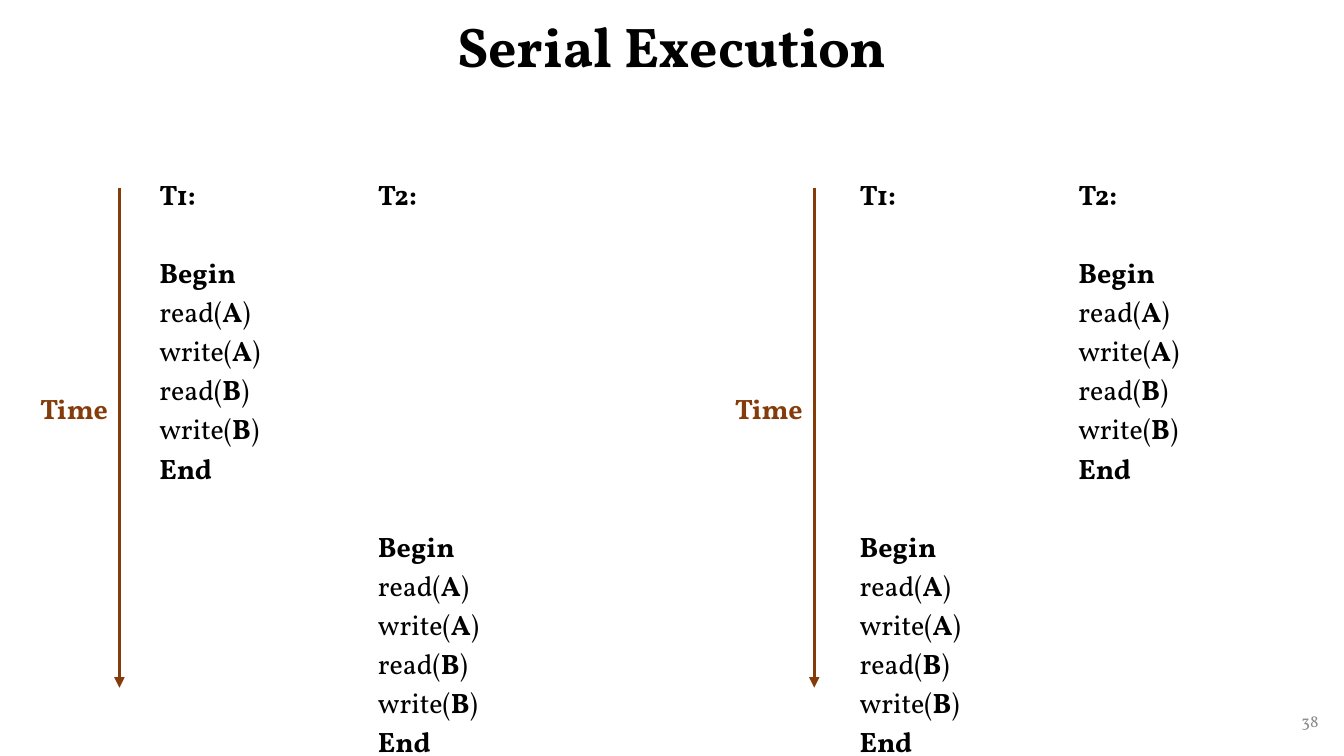
from collections import namedtuple
from dataclasses import dataclass

from lxml import etree
from pptx import Presentation, util as u
from pptx.dml.color import RGBColor
from pptx.enum import shapes, text
from pptx.oxml.ns import qn

Box = namedtuple("Box", "left top width height")


@dataclass(frozen=True)
class Theme:
    font: str = "Vollkorn"
    ink: str = "000000"
    time: str = "843C0B"
    muted: str = "8C8C8C"
    title_size: int = 40
    body_size: int = 20
    number_size: int = 12
    axis_width: float = 2.5
    line_pitch: float = 27.95
    plain_table: str = "{2D5ABB26-0587-4C30-8999-92F81FD0307C}"


THEME = Theme()
TRANSACTION = [
    [("Begin", True)],
    *[[(f"{action}(", False), (item, True), (")", False)]
      for item in "AB" for action in ("read", "write")],
    [("End", True)],
]
FIRST, SECOND = 1, 8  # empty lines between the heading and Begin


def cm_box(box):
    return [u.Cm(length) for length in box]


def add_run(paragraph, words, size, color, bold=False):
    run = paragraph.add_run()
    run.text = words
    run.font.name = THEME.font
    run.font.size = u.Pt(size)
    run.font.bold = bold
    run.font.color.rgb = RGBColor.from_string(color)


def add_label(parent, box, words, size, color, bold=False,
              align=text.PP_ALIGN.LEFT, anchor=text.MSO_ANCHOR.TOP):
    frame = parent.add_textbox(*cm_box(box)).text_frame
    frame.word_wrap = True
    frame.vertical_anchor = anchor
    paragraph = frame.paragraphs[0]
    paragraph.alignment = align
    add_run(paragraph, words, size, color, bold)
    return paragraph


def add_title(slide, box):
    title = add_label(slide.shapes, box, "Serial Execution", THEME.title_size, THEME.ink,
                      True, text.PP_ALIGN.CENTER, text.MSO_ANCHOR.MIDDLE)
    title.line_spacing = 0.9


def add_page_number(slide, box):
    add_label(slide.shapes, box, "38", THEME.number_size, THEME.muted,
              align=text.PP_ALIGN.RIGHT, anchor=text.MSO_ANCHOR.MIDDLE)


def add_time_axis(slide, box):
    """Draw the downward arrow on the right edge of the box, its label beside it."""
    group = slide.shapes.add_group_shape().shapes
    x = box.left + box.width
    arrow = group.add_connector(shapes.MSO_CONNECTOR.STRAIGHT, u.Cm(x), u.Cm(box.top),
                                u.Cm(x), u.Cm(box.top + box.height))
    arrow.line.color.rgb = RGBColor.from_string(THEME.time)
    arrow.line.width = u.Pt(THEME.axis_width)
    etree.SubElement(arrow.line._get_or_add_ln(), qn("a:tailEnd"), type="triangle")
    etree.SubElement(arrow._element.spPr, qn("a:effectLst"))
    add_label(group, Box(box.left, box.top + 5, box.width, 1.12), "Time",
              THEME.body_size, THEME.time, True)


def fill_transaction(cell, heading, empty_lines):
    cell.fill.background()
    frame = cell.text_frame
    add_run(frame.paragraphs[0], heading, THEME.body_size, THEME.ink, True)
    for index, step in enumerate(TRANSACTION):
        paragraph = frame.add_paragraph()
        if index == 0:
            paragraph.space_before = u.Pt(empty_lines * THEME.line_pitch)
        for words, bold in step:
            add_run(paragraph, words, THEME.body_size, THEME.ink, bold)


def add_schedule(slide, box, starts):
    table = slide.shapes.add_table(1, 2, *cm_box(box)).table
    table.first_row = table.horz_banding = False
    table._tbl.tblPr.find(qn("a:tableStyleId")).text = THEME.plain_table
    t1_width = 5.51
    for column, width in zip(table.columns, (t1_width, box.width - t1_width)):
        column.width = u.Cm(width)
    for number, empty_lines in enumerate(starts):
        fill_transaction(table.cell(0, number), f"T{number + 1}:", empty_lines)


def main():
    deck = Presentation()
    deck.slide_width, deck.slide_height = u.Cm(33.87), u.Cm(19.05)
    slide = deck.slides.add_slide(deck.slide_layouts[6])
    add_title(slide, Box(2.33, 0, 29.21, 2.51))
    add_page_number(slide, Box(25.86, 17.65, 7.62, 1.02))
    for axis_left, schedule_left, starts in (
        (0.76, 3.76, (FIRST, SECOND)),
        (18.27, 21.41, (SECOND, FIRST)),
    ):
        add_schedule(slide, Box(schedule_left, 4.37, 10.72, 8.53), starts)
        add_time_axis(slide, Box(axis_left, 4.73, 2.25, 12.6))
    deck.save("out.pptx")


if __name__ == "__main__":
    main()
